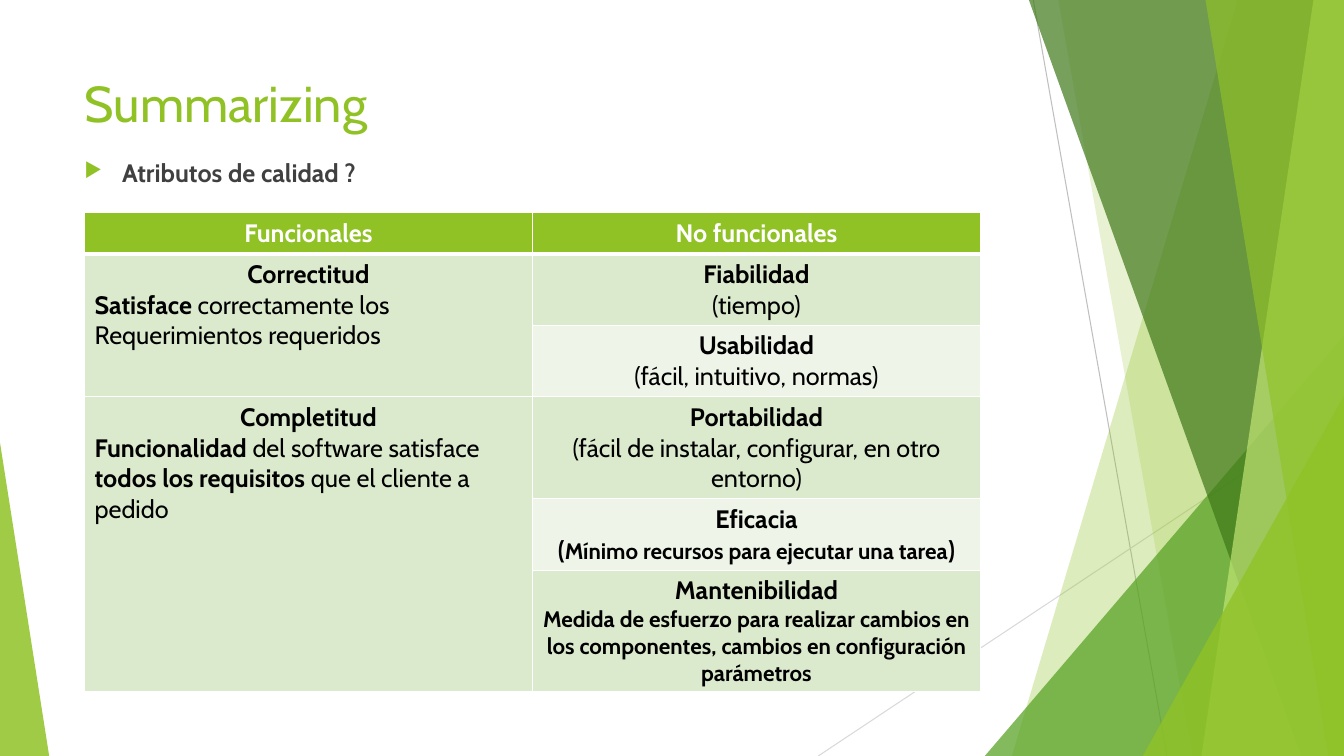
from dataclasses import dataclass

from lxml.etree import SubElement
from pptx import Presentation
from pptx.dml.color import RGBColor as Rgb
from pptx.enum.shapes import MSO_CONNECTOR as Link, MSO_SHAPE as Kind
from pptx.enum.text import MSO_ANCHOR as Anchor, PP_ALIGN as Align
from pptx.oxml import parse_xml
from pptx.oxml.ns import nsdecls, qn
from pptx.util import Cm, Pt

WIDE, HIGH = 33.87, 19.05


@dataclass(frozen=True)
class Theme:
    font: str = "Cabin"
    lime: str = "90C226"
    green: str = "54A021"
    dark: str = "3F7819"
    pale: str = "C0E474"
    gray: str = "404040"
    black: str = "000000"
    white: str = "FFFFFF"
    band: str = "DBE9CD"
    light: str = "EEF4E8"
    rule: str = "BFBFBF"
    faint: str = "D9D9D9"
    title: int = 36
    body: int = 18
    small: int = 16


class Deck:
    def __init__(self, theme):
        self.theme = theme
        self.file = Presentation()
        self.file.slide_width, self.file.slide_height = Cm(WIDE), Cm(HIGH)
        self.slide = self.file.slides.add_slide(self.file.slide_layouts[6])
        self.shapes = self.slide.shapes

    def line(self, x1, y1, x2, y2, color):
        link = self.shapes.add_connector(
            Link.STRAIGHT, Cm(x1), Cm(y1), Cm(x2), Cm(y2))
        link.line.color.rgb = Rgb.from_string(color)
        link.line.width = Pt(0.75)
        SubElement(link._element.spPr, qn("a:effectLst"))

    def paint(self, shape, color, alpha):
        """Fill with a see-through colour; alpha is the opacity in percent."""
        shape.shadow.inherit = False
        shape.line.fill.background()
        shape.fill.solid()
        shape.fill.fore_color.rgb = Rgb.from_string(color)
        tint = shape._element.spPr.find(qn("a:solidFill"))[0]
        SubElement(tint, qn("a:alpha"), val=str(alpha * 1000))

    def wedge(self, top, low, color, alpha):
        """Draw a band from a slanted left side to the right slide edge."""
        pen = self.shapes.build_freeform(Cm(top), Cm(0))
        pen.add_line_segments(
            [(Cm(x), Cm(y)) for x, y in ((WIDE, 0), (WIDE, HIGH), (low, HIGH))])
        self.paint(pen.convert_to_shape(), color, alpha)

    def corner(self, x, y, wide, tip, color, alpha):
        """Draw a triangle that stands on the bottom edge."""
        shape = self.shapes.add_shape(
            Kind.ISOSCELES_TRIANGLE, Cm(x), Cm(y), Cm(wide), Cm(HIGH - y))
        shape.adjustments[0] = tip
        self.paint(shape, color, alpha)

    def run(self, para, text, color, size, bold=False):
        run = para.add_run()
        run.text = text
        font = run.font
        font.name, font.size, font.bold = self.theme.font, Pt(size), bold
        font.color.rgb = Rgb.from_string(color)

    def text(self, x, y, wide, high, words, color, size, bold=False):
        frame = self.shapes.add_textbox(Cm(x), Cm(y), Cm(wide), Cm(high)).text_frame
        frame.word_wrap = True
        frame.vertical_anchor = Anchor.TOP
        para = frame.paragraphs[0]
        self.run(para, words, color, size, bold)
        return para

    def bullet(self, para, mark, color):
        props = para._p.get_or_add_pPr()
        props.set("marL", str(Cm(0.95)))
        props.set("indent", str(Cm(-0.95)))
        tint = SubElement(props, qn("a:buClr"))
        SubElement(tint, qn("a:srgbClr"), val=color)
        SubElement(props, qn("a:buSzPct"), val="80000")
        SubElement(props, qn("a:buChar"), char=mark)

    def table(self, x, y, cols, rows):
        table = self.shapes.add_table(
            len(rows), len(cols), Cm(x), Cm(y), Cm(sum(cols)), Cm(sum(rows))).table
        table.first_row = table.horz_banding = False
        for col, wide in zip(table.columns, cols):
            col.width = Cm(wide)
        for row, high in zip(table.rows, rows):
            row.height = Cm(high)
        return table

    def cell(self, cell, fill, top=1, low=1):
        """Fill a cell and edge it; top and low are widths in points."""
        cell.fill.solid()
        cell.fill.fore_color.rgb = Rgb.from_string(fill)
        props = cell._tc.get_or_add_tcPr()
        edges = (("lnL", 1), ("lnR", 1), ("lnT", top), ("lnB", low))
        for spot, (name, wide) in enumerate(edges):
            props.insert(spot, parse_xml(
                f'<a:{name} {nsdecls("a")} w="{Pt(wide)}"><a:solidFill>'
                f'<a:srgbClr val="{self.theme.white}"/></a:solidFill></a:{name}>'))

    def label(self, cell, lines, color):
        """Fill in lines of runs; a line is (align, runs), None meaning a break."""
        frame = cell.text_frame
        for spot, (align, runs) in enumerate(lines):
            para = frame.add_paragraph() if spot else frame.paragraphs[0]
            para.alignment = align
            for part in runs:
                if part is None:
                    para.add_line_break()
                else:
                    words, bold, size = part
                    self.run(para, words, color, size, bold)


def scene(deck):
    t = deck.theme
    deck.line(26.04, 0, 29.41, HIGH, t.rule)
    deck.line(WIDE, 10.24, 20.62, HIGH, t.faint)
    deck.wedge(31.19, 25.5, t.lime, 30)
    deck.wedge(26.67, 30.05, t.lime, 20)
    deck.corner(24.82, 8.46, 9.05, 1, t.green, 72)
    deck.wedge(25.93, 32.79, t.dark, 70)
    deck.wedge(33.1, 30.28, t.pale, 70)
    deck.wedge(30.38, 33.48, t.lime, 65)
    deck.corner(28.8, 9.98, 5.07, 1, t.lime, 80)
    deck.corner(0, 11.15, 1.24, 0, t.lime, 85)


def grid(deck):
    t = deck.theme
    mid, left, big, small = Align.CENTER, Align.LEFT, t.body, t.small

    def head(name, *rest):
        return [(mid, [(name, True, big), *rest])]

    def trait(name, *rest):
        return head(name, None, *rest)

    table = deck.table(2.13, 5.36, [11.29] * 2, [1.04, 1.8, 1.8, 2.57, 1.8, 3.05])
    for r, row in enumerate(table.rows):
        for c, cell in enumerate(row.cells):
            fill = t.light if c and r in (2, 4) else t.band
            deck.cell(cell, fill if r else t.lime,
                      top=3 if r == 1 else 1, low=1 if r else 3)
    for first, last in ((1, 2), (3, 5)):
        table.cell(first, 0).merge(table.cell(last, 0))

    texts = {
        (0, 0): head("Funcionales"),
        (0, 1): head("No funcionales"),
        (1, 0): head("Correctitud") + [(left, [
            ("Satisface", True, big),
            (" correctamente los Requerimientos requeridos", False, big)])],
        (3, 0): head("Completitud") + [(left, [
            ("Funcionalidad", True, big),
            (" del software satisface ", False, big),
            ("todos los requisitos ", True, big),
            ("que el cliente a pedido", False, big)])],
        (1, 1): trait("Fiabilidad", ("(tiempo)", False, big)),
        (2, 1): trait("Usabilidad", ("(fácil, intuitivo, normas)", False, big)),
        (3, 1): trait("Portabilidad", (
            "(fácil de instalar, configurar, en otro entorno)", False, big)),
        (4, 1): trait(
            "Eficacia", ("(", True, big),
            ("Mínimo recursos para ejecutar una tarea", True, small),
            (")", True, big)),
        (5, 1): trait("Mantenibilidad", (
            "Medida de esfuerzo para realizar cambios en los componentes, "
            "cambios en configuración parámetros", True, small)),
    }
    for (r, c), lines in texts.items():
        deck.label(table.cell(r, c), lines, t.black if r else t.white)


def main():
    deck = Deck(Theme())
    t = deck.theme
    scene(deck)
    deck.text(1.88, 1.7, 23.88, 3.66, "Summarizing", t.lime, t.title)
    topic = deck.text(1.88, 3.84, 23.88, 1.04, "Atributos de calidad ?",
                      t.gray, t.body, True)
    deck.bullet(topic, "▶", t.lime)
    grid(deck)
    deck.file.save("out.pptx")


if __name__ == "__main__":
    main()
